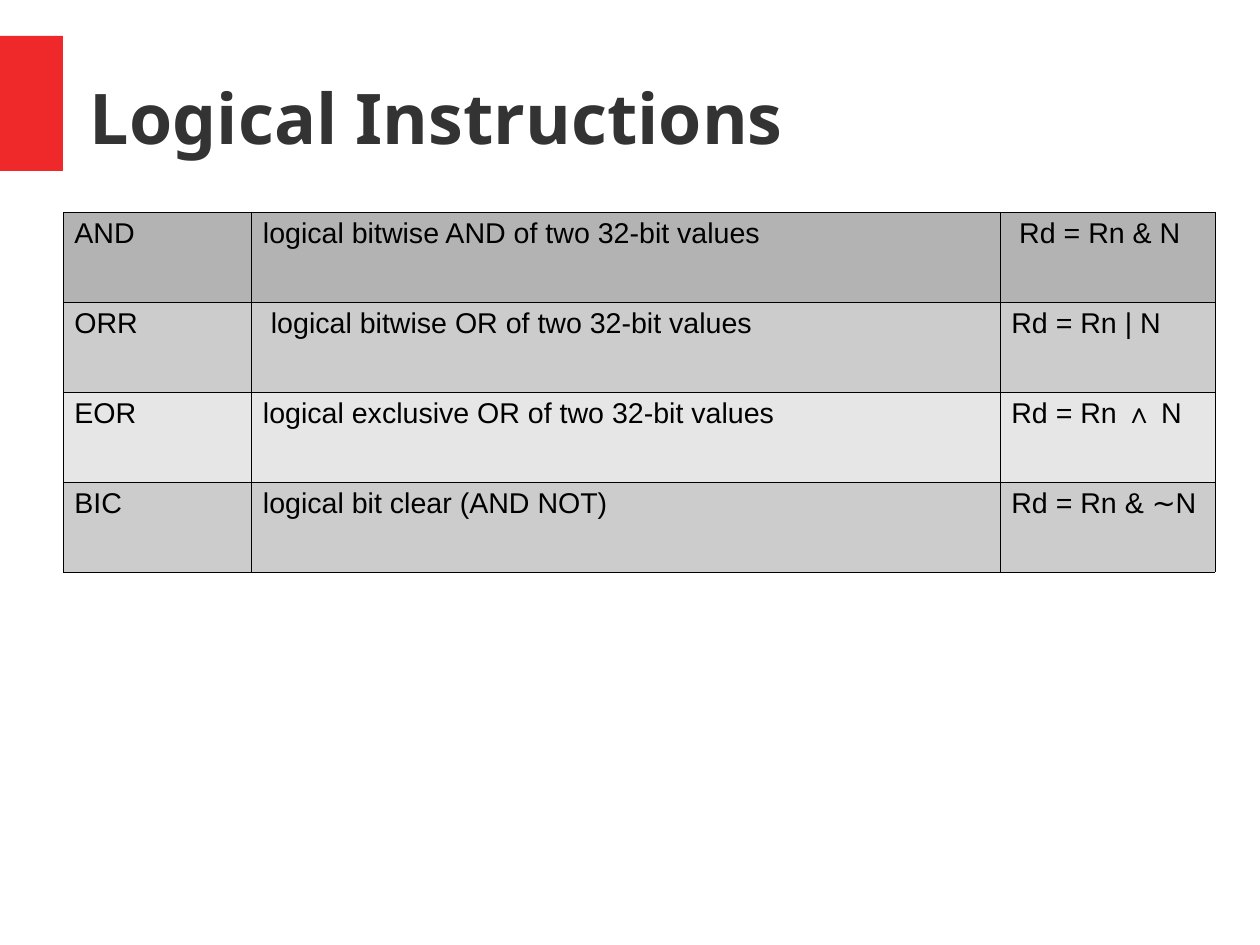
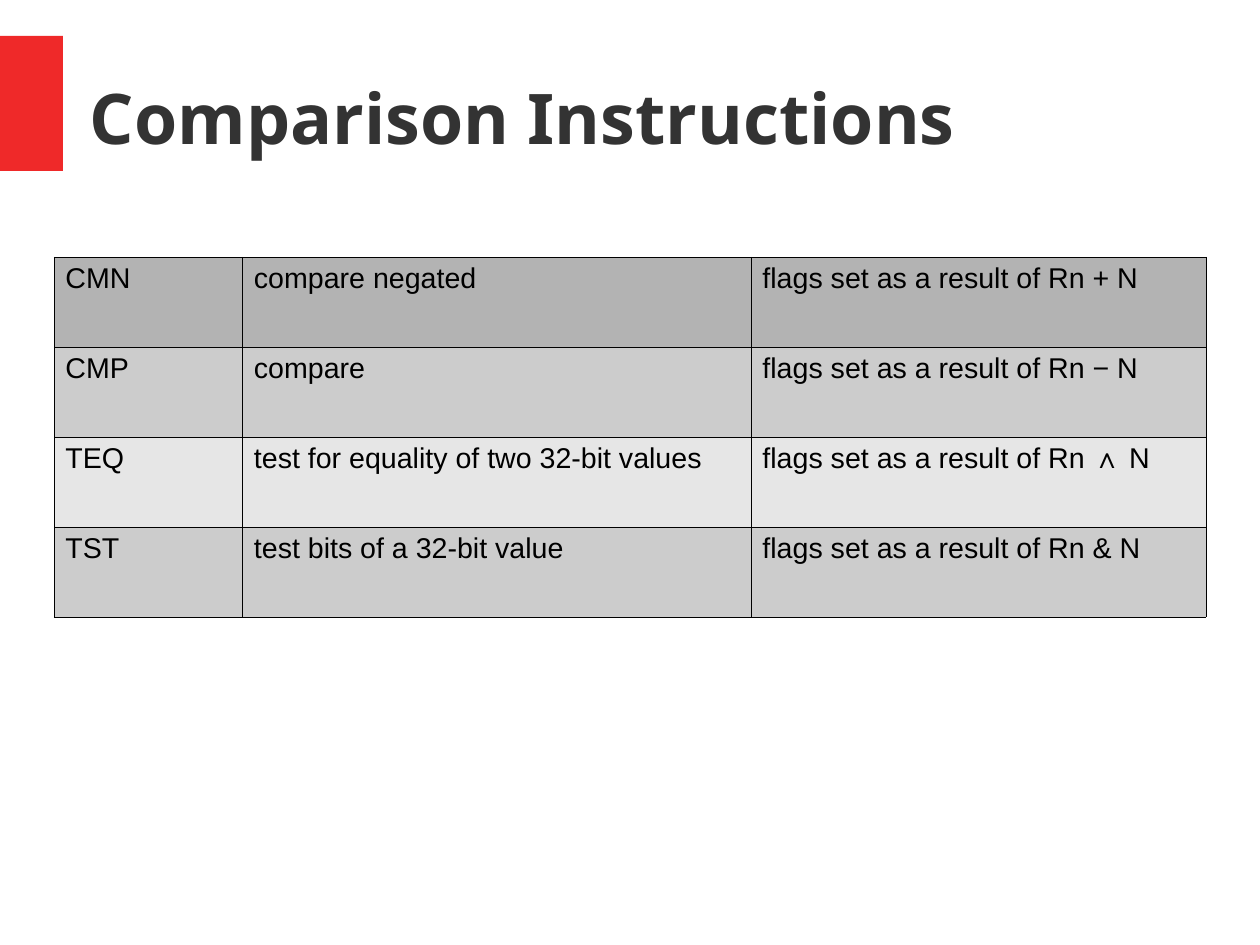
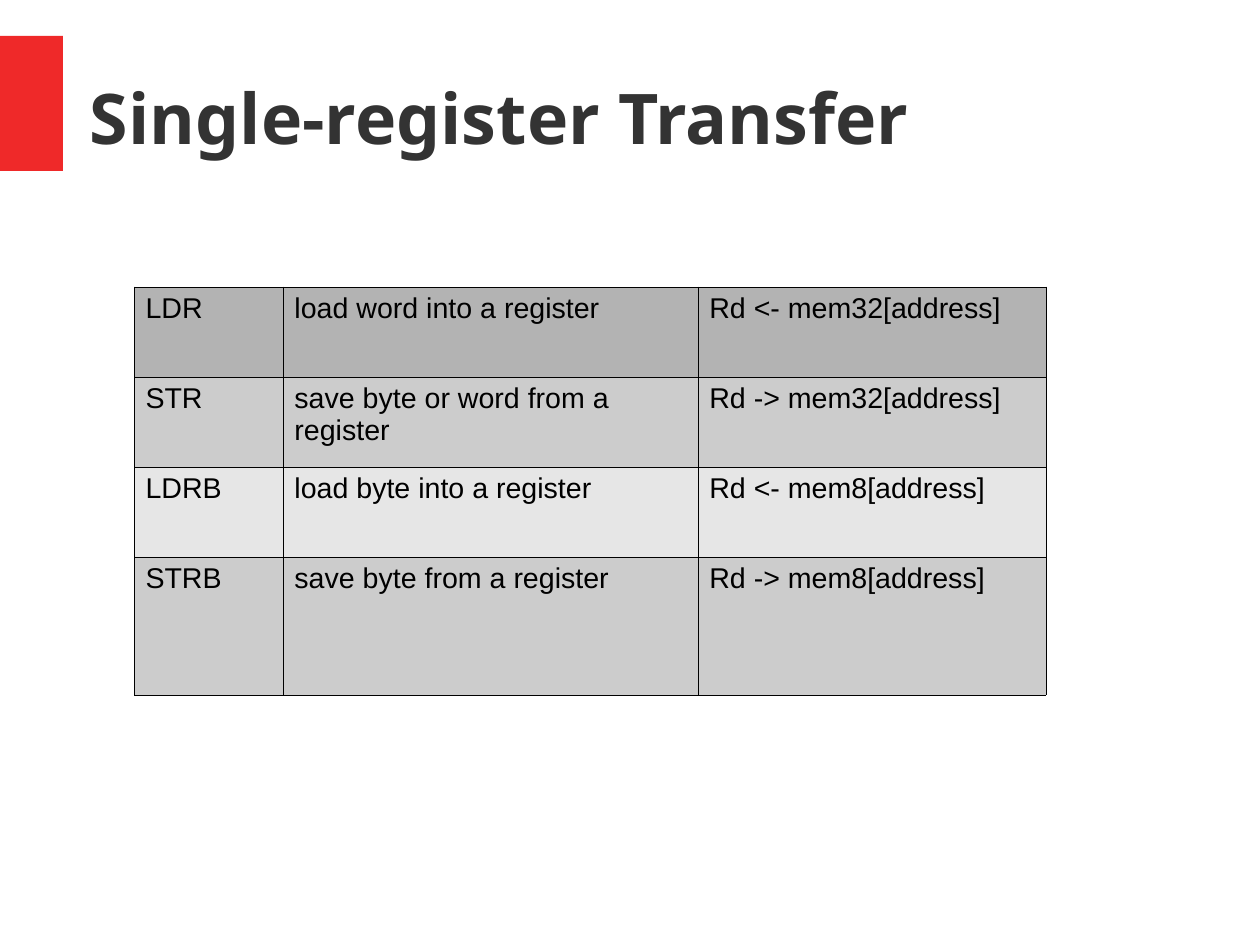
from lxml import etree
from pptx import Presentation, util as u
from pptx.dml.color import RGBColor
from pptx.enum import shapes, text
from pptx.oxml import ns

# Content: title, table corner, column widths, row heights, rows (lengths in cm)
ROW = 2
SLIDES = [
    ("Logical Instructions", (1.4, 4.71), (4.19, 16.63, 4.78), [ROW] * 4, [
        ("AND", "logical bitwise AND of two 32-bit values", " Rd = Rn & N"),
        ("ORR", " logical bitwise OR of two 32-bit values", "Rd = Rn | N"),
        ("EOR", "logical exclusive OR of two 32-bit values", "Rd = Rn ∧ N"),
        ("BIC", "logical bit clear (AND NOT)", "Rd = Rn & ∼N"),
    ]),
    ("Comparison Instructions", (1.2, 5.71), (4.19, 11.3, 10.11), [ROW] * 4, [
        ("CMN", "compare negated", "flags set as a result of Rn + N"),
        ("CMP", "compare", "flags set as a result of Rn − N"),
        ("TEQ", "test for equality of two 32-bit values",
         "flags set as a result of Rn ∧ N"),
        ("TST", "test bits of a 32-bit value", "flags set as a result of Rn & N"),
    ]),
    ("Single-register Transfer", (2.98, 6.37), (3.31, 9.22, 7.73),
     [ROW] * 3 + [3.08], [
        ("LDR", "load word into a register", "Rd <- mem32[address]"),
        ("STR", "save byte or word from a register", "Rd -> mem32[address]"),
        ("LDRB", "load byte into a register", "Rd <- mem8[address]"),
        ("STRB", "save byte from a register", "Rd -> mem8[address]"),
    ]),
]

# Shared look
COLORS = {"band": "EF2929", "title": "333333", "text": "000000",
          "border": "000000", "header": "B3B3B3", "odd": "CCCCCC", "even": "E6E6E6"}
SIZE = (28, 21)
BAND = (0, 0.8, 1.4, 3)
TITLE = (2, 0.78, 25.6, 3.6)
BORDER_PT = 0.06


def rgb(name):
    return RGBColor.from_string(COLORS[name])


def cm(values):
    return [u.Cm(v) for v in values]


def write(tf, words, size=18, font="Arial", color="text", bold=False):
    tf.word_wrap = True
    p = tf.paragraphs[0]
    p.alignment = text.PP_ALIGN.LEFT
    r = p.add_run()
    r.text = words
    r.font.size, r.font.name, r.font.bold = u.Pt(size), font, bold
    r.font.color.rgb = rgb(color)


def add_borders(cell):
    tc_pr = cell._tc.get_or_add_tcPr()
    for side in ("lnL", "lnR", "lnT", "lnB"):
        ln = etree.SubElement(tc_pr, ns.qn("a:" + side), w=str(int(u.Pt(BORDER_PT))))
        fill = etree.SubElement(ln, ns.qn("a:solidFill"))
        etree.SubElement(fill, ns.qn("a:srgbClr"), val=COLORS["border"])


def add_heading(s, title):
    band = s.shapes.add_shape(shapes.MSO_SHAPE.RECTANGLE, *cm(BAND))
    band.shadow.inherit = False
    band.fill.solid()
    band.fill.fore_color.rgb = rgb("band")
    band.line.fill.background()

    tf = s.shapes.add_textbox(*cm(TITLE)).text_frame
    tf.margin_left = tf.margin_right = tf.margin_top = tf.margin_bottom = 0
    tf.vertical_anchor = text.MSO_ANCHOR.MIDDLE
    write(tf, title, size=44, font="Noto Sans", color="title", bold=True)


def add_grid(s, corner, widths, heights, rows):
    box = cm((*corner, sum(widths), sum(heights)))
    table = s.shapes.add_table(len(rows), len(widths), *box).table
    table.first_row = table.horz_banding = False
    for column, width in zip(table.columns, widths):
        column.width = u.Cm(width)
    for i, (row, height) in enumerate(zip(table.rows, heights)):
        row.height = u.Cm(height)
        shade = "header" if i == 0 else "odd" if i % 2 else "even"
        for cell, words in zip(row.cells, rows[i]):
            add_borders(cell)
            cell.fill.solid()
            cell.fill.fore_color.rgb = rgb(shade)
            write(cell.text_frame, words)


# Build
prs = Presentation()
prs.slide_width, prs.slide_height = cm(SIZE)
for title, *grid in SLIDES:
    s = prs.slides.add_slide(prs.slide_layouts[6])
    add_heading(s, title)
    add_grid(s, *grid)
prs.save("out.pptx")
